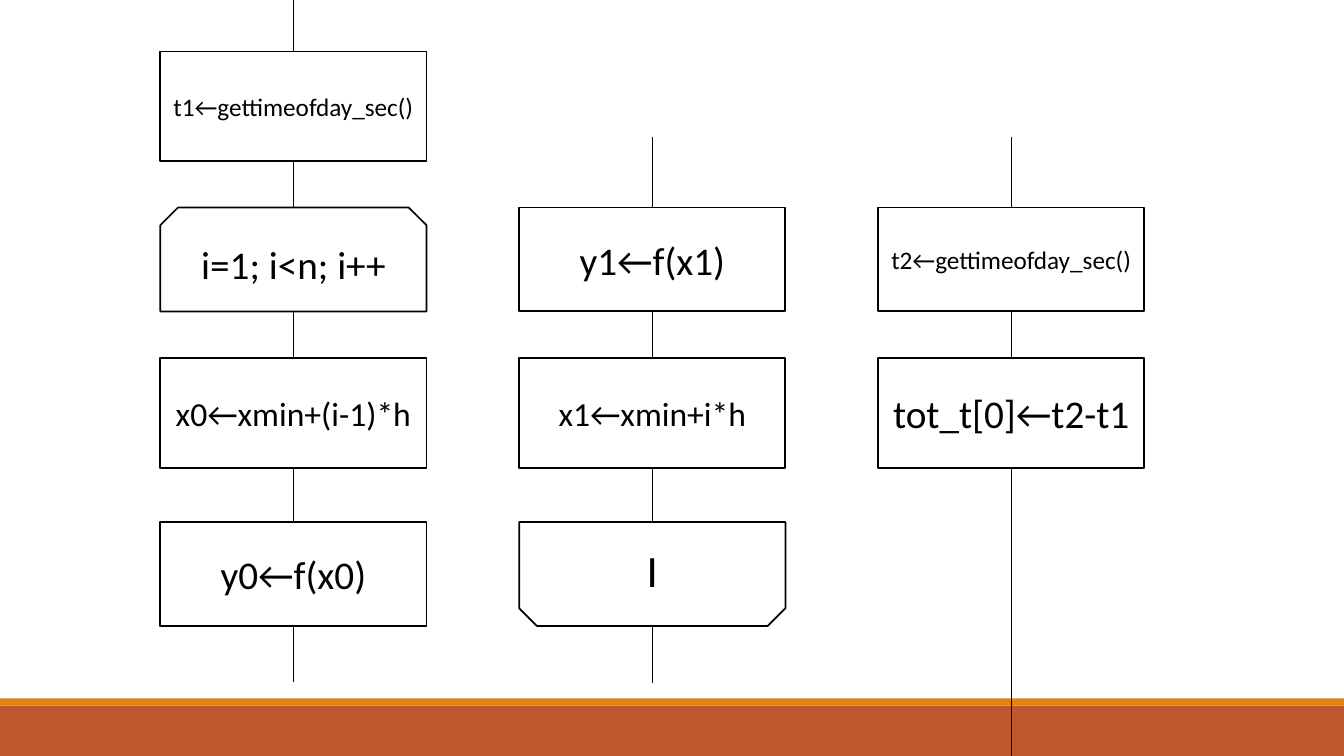
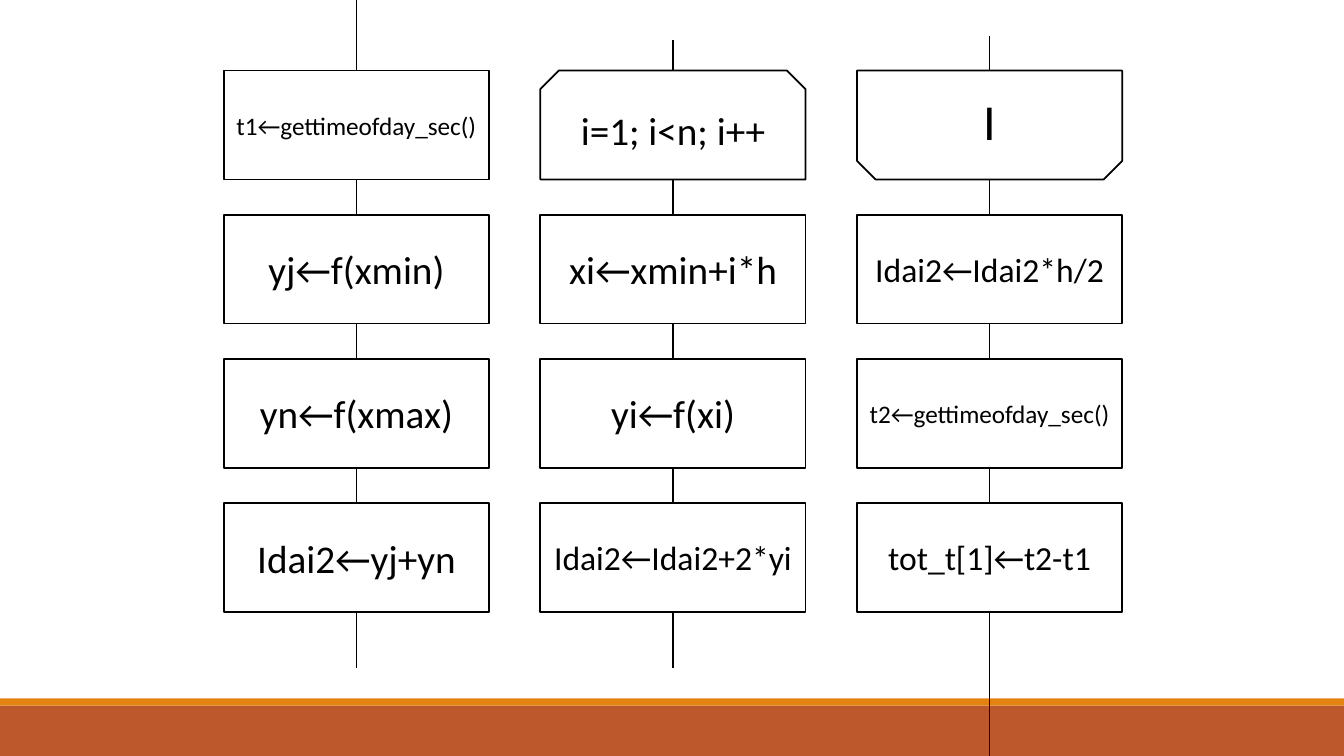
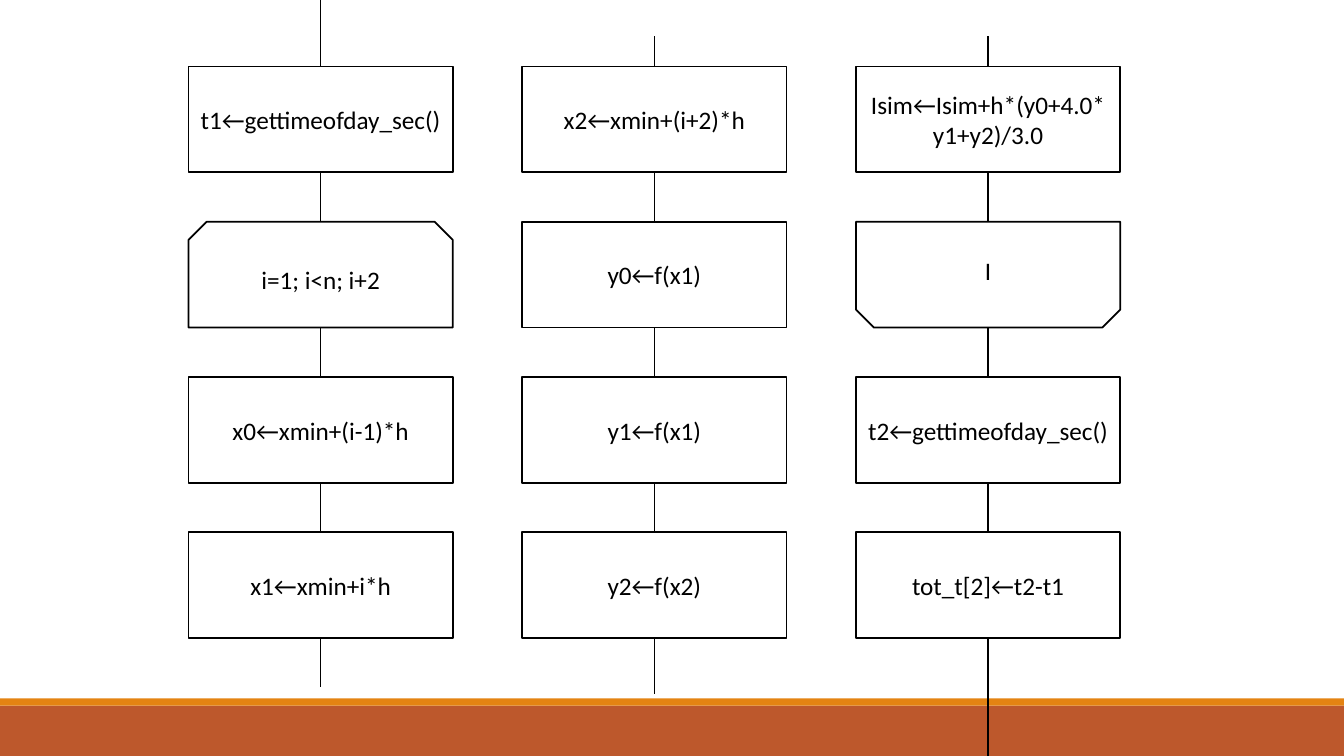
from dataclasses import dataclass

from pptx import Presentation
from pptx.dml.color import RGBColor
from pptx.enum.shapes import MSO_CONNECTOR as LINK, MSO_SHAPE as SHAPE
from pptx.enum.text import MSO_ANCHOR as ANCHOR, PP_ALIGN as ALIGN
from pptx.oxml.ns import qn
from pptx.util import Inches, Pt

WHITE = RGBColor(0xFF, 0xFF, 0xFF)
BLACK = RGBColor(0x00, 0x00, 0x00)
RUST = RGBColor(0xBD, 0x58, 0x2C)
ORANGE = RGBColor(0xE4, 0x83, 0x12)
FONT = "Calibri"
WIDE, HIGH = 13.33, 7.5
SNIP = 0.17


@dataclass
class Step:
    """One box of a flow chart; kind is step, open or shut."""
    text: str
    size: int = 18
    kind: str = "step"


@dataclass
class Lane:
    """A column of steps, with the ends of its line and its first row."""
    head: float
    tail: float
    steps: list
    first: int = 0


def write(shape, text, size=18, color=BLACK, align=ALIGN.CENTER):
    """Put one formatted paragraph in a shape."""
    frame = shape.text_frame
    frame.word_wrap = True
    frame.vertical_anchor = ANCHOR.MIDDLE
    para = frame.paragraphs[0]
    para.alignment = align
    run = para.add_run()
    run.text = text
    run.font.size = Pt(size)
    run.font.name = FONT
    run.font.color.rgb = color


def block(slide, box, fill, kind=SHAPE.RECTANGLE, line=None):
    """Add a filled preset shape, outlined if a line colour is given."""
    shape = slide.shapes.add_shape(kind, *map(Inches, box))
    shape.shadow.inherit = False
    shape.fill.solid()
    shape.fill.fore_color.rgb = fill
    if line is None:
        shape.line.fill.background()
    else:
        shape.line.color.rgb = line
        shape.line.width = Pt(1.25)
    return shape


def join(slide, x, top, end):
    """Draw an upright line."""
    line = slide.shapes.add_connector(
        LINK.STRAIGHT, Inches(x), Inches(top), Inches(x), Inches(end))
    line.line.color.rgb = BLACK
    line.line.width = Pt(1)
    props = line._element.spPr
    props.append(props.makeelement(qn("a:effectLst"), {}))


def bands(slide):
    """Draw the two bands at the foot of a slide."""
    block(slide, (0, 7, WIDE, 0.5), RUST)
    block(slide, (0, 6.93, WIDE, 0.07), ORANGE)


def draw_step(slide, step, box):
    """Draw one step, with the corners of its kind cut off."""
    kind = SHAPE.RECTANGLE if step.kind == "step" else SHAPE.SNIP_2_SAME_RECTANGLE
    shape = block(slide, box, WHITE, kind, BLACK)
    if step.kind != "step":
        cuts = (SNIP, 0) if step.kind == "open" else (0, SNIP)
        shape.adjustments[0], shape.adjustments[1] = cuts
    write(shape, step.text, size=step.size)


def draw_lane(slide, lane, left, wide, rows):
    """Stack the steps of a lane in its rows and link them."""
    y = lane.head
    for step, (top, high) in zip(lane.steps, rows[lane.first:]):
        draw_step(slide, step, (left, top, wide, high))
        join(slide, left + wide / 2, y, top)
        y = top + high
    join(slide, left + wide / 2, y, lane.tail)


def flow(deck, left, pitch, wide, rows, lanes):
    """Add a slide with lanes at an equal pitch."""
    slide = deck.slides.add_slide(deck.slide_layouts[6])
    bands(slide)
    for col, lane in enumerate(lanes):
        draw_lane(slide, lane, left + col * pitch, wide, rows)


def even(top, pitch, high):
    """Return four rows of one height at an equal pitch."""
    return [(top + row * pitch, high) for row in range(4)]


def main():
    """Build the deck."""
    deck = Presentation()
    deck.slide_width, deck.slide_height = Inches(WIDE), Inches(HIGH)
    start = Step("t1←gettimeofday_sec()")
    stop = Step("t2←gettimeofday_sec()")

    flow(deck, 1.59, 3.56, 2.64,
         [(0.51, 1.09), (2.06, 1.03), (3.55, 1.09), (5.18, 1.03)], [
             Lane(0, 6.77, [start,
                            Step("i=1; i<n; i++", 28, "open"),
                            Step("x0←xmin+(i-1)*h", 24),
                            Step("y0←f(x0)", 28)]),
             Lane(1.36, 6.78, [Step("y1←f(x1)", 28),
                               Step("x1←xmin+i*h", 24),
                               Step("I", 32, "shut")], first=1),
             Lane(1.36, HIGH, [stop, Step("tot_t[0]←t2-t1", 28)], first=1)])

    flow(deck, 2.22, 3.14, 2.63, even(0.7, 1.43, 1.08), [
        Lane(0, 6.63, [start,
                       Step("yj←f(xmin)", 28),
                       Step("yn←f(xmax)", 28),
                       Step("Idai2←yj+yn", 28)]),
        Lane(0.4, 6.63, [Step("i=1; i<n; i++", 28, "open"),
                         Step("xi←xmin+i*h", 28),
                         Step("yi←f(xi)", 28),
                         Step("Idai2←Idai2+2*yi", 24)]),
        Lane(0.36, HIGH, [Step("I", 36, "shut"),
                          Step("Idai2←Idai2*h/2", 24),
                          stop,
                          Step("tot_t[1]←t2-t1", 24)])])

    flow(deck, 1.87, 3.31, 2.62, even(0.66, 1.54, 1.05), [
        Lane(0, 6.82, [start,
                       Step("i=1; i<n; i+2", kind="open"),
                       Step("x0←xmin+(i-1)*h"),
                       Step("x1←xmin+i*h")]),
        Lane(0.36, 6.89, [Step("x2←xmin+(i+2)*h"),
                          Step("y0←f(x1)"),
                          Step("y1←f(x1)"),
                          Step("y2←f(x2)")]),
        Lane(0.36, HIGH, [Step("Isim←Isim+h*(y0+4.0*y1+y2)/3.0"),
                          Step("I", kind="shut"),
                          stop,
                          Step("tot_t[2]←t2-t1")])])
    deck.save("out.pptx")


if __name__ == "__main__":
    main()
